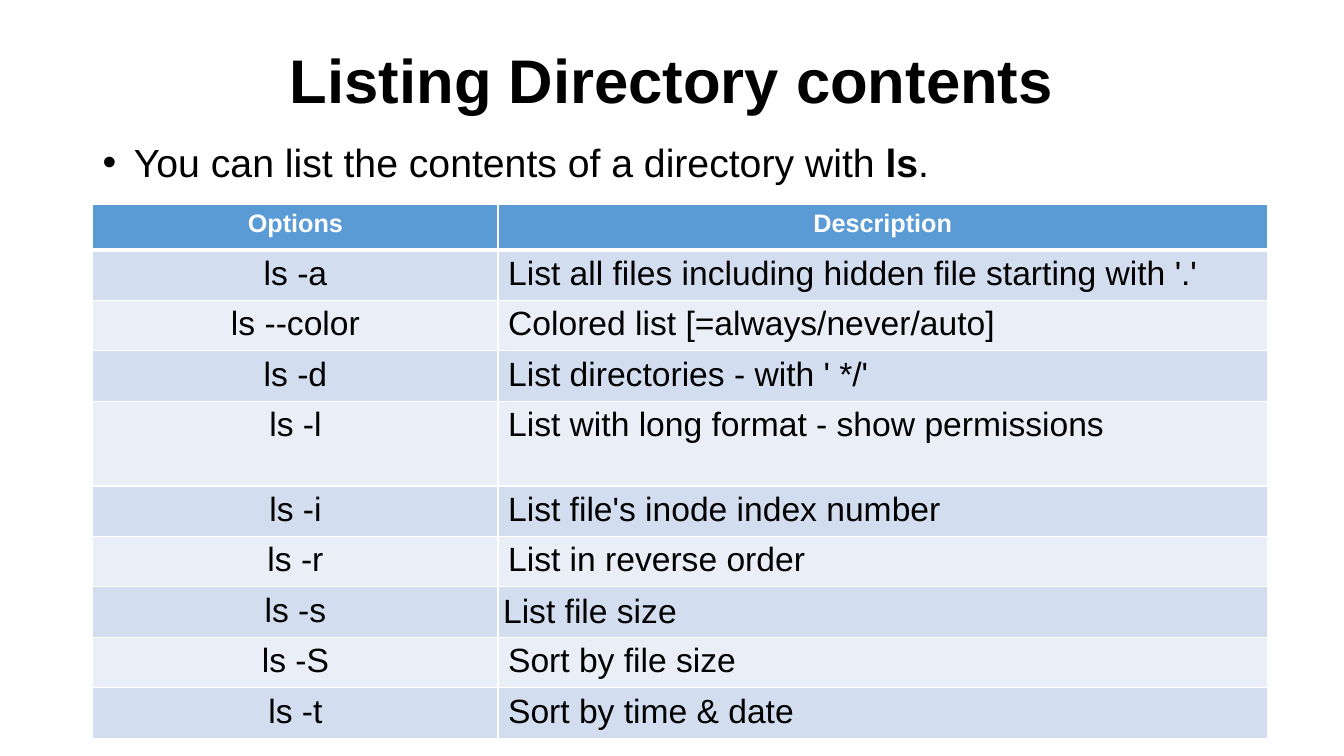
from typing import NamedTuple

from lxml import etree
from pptx import Presentation
from pptx import util as u
from pptx.dml.color import RGBColor
from pptx.enum import text
from pptx.oxml.ns import qn

WIDTH, HEIGHT = 13.33, 7.5
LEFT, CONTENT_WIDTH = 0.92, 11.65
OPTION_WIDTH = 4.02
FONT = "Arial"
BLACK, WHITE = "000000", "FFFFFF"
HEADER_FILL, BANDS = "5B9BD5", ("D2DEEF", "EAEFF7")
CENTER, LEFT_ALIGN = text.PP_ALIGN.CENTER, text.PP_ALIGN.LEFT


class Option(NamedTuple):
    command: str
    description: str
    height: float = 0.48
    tight: bool = False  # narrow margins around the description


OPTIONS = [
    Option("ls -a", "List all files including hidden file starting with '.'"),
    Option("ls --color", "Colored list [=always/never/auto]"),
    Option("ls -d", "List directories - with ' */'", height=0.5),
    Option("ls -l", "List with long format - show permissions", height=0.84),
    Option("ls -i", "List file's inode index number"),
    Option("ls -r", "List in reverse order"),
    Option("ls -s", "List file size", tight=True),
    Option("ls -S", "Sort by file size"),
    Option("ls -t", "Sort by time & date"),
]
HEADER = Option("Options", "Description", height=0.45)


def color(value: str) -> RGBColor:
    return RGBColor.from_string(value)


def style_run(run, size: float, ink: str = BLACK, bold: bool = False) -> None:
    run.font.name = FONT
    run.font.size = u.Pt(size)
    run.font.bold = bold
    run.font.color.rgb = color(ink)


def add_text_box(slide, left: float, top: float, width: float, height: float):
    box = slide.shapes.add_textbox(*map(u.Inches, (left, top, width, height)))
    box.text_frame.word_wrap = True
    return box.text_frame


def add_bullet(paragraph, indent: float) -> None:
    properties = paragraph._p.get_or_add_pPr()
    properties.set("marL", str(u.Inches(indent)))
    properties.set("indent", str(-u.Inches(indent)))
    etree.SubElement(properties, qn("a:buFont"), typeface=FONT)
    etree.SubElement(properties, qn("a:buChar"), char="•")


def set_borders(cell, bottom: float) -> None:
    properties = cell._tc.get_or_add_tcPr()
    sides = {"a:lnL": 1, "a:lnR": 1, "a:lnT": 1, "a:lnB": bottom}
    for position, (side, points) in enumerate(sides.items()):
        line = etree.Element(qn(side), w=str(u.Pt(points)))
        fill = etree.SubElement(line, qn("a:solidFill"))
        etree.SubElement(fill, qn("a:srgbClr"), val=WHITE)
        properties.insert(position, line)


def fill_cell(cell, words: str, align, fill: str, header: bool) -> None:
    cell.fill.solid()
    cell.fill.fore_color.rgb = color(fill)
    set_borders(cell, bottom=3 if header else 1)
    paragraph = cell.text_frame.paragraphs[0]
    paragraph.text = words
    paragraph.alignment = align
    style_run(paragraph.runs[0], 18 if header else 24,
              WHITE if header else BLACK, bold=header)


def add_option_table(slide, top: float) -> None:
    rows = [HEADER, *OPTIONS]
    total = sum(row.height for row in rows)
    table = slide.shapes.add_table(
        len(rows), 2, u.Inches(LEFT), u.Inches(top),
        u.Inches(CONTENT_WIDTH), u.Inches(total)).table
    for column, width in zip(table.columns, (OPTION_WIDTH, CONTENT_WIDTH - OPTION_WIDTH)):
        column.width = u.Inches(width)

    for index, row in enumerate(rows):
        header = index == 0
        fill = HEADER_FILL if header else BANDS[(index - 1) % 2]
        table.rows[index].height = u.Inches(row.height)
        command, description = table.cell(index, 0), table.cell(index, 1)
        fill_cell(command, row.command, CENTER, fill, header)
        fill_cell(description, row.description,
                  CENTER if header else LEFT_ALIGN, fill, header)
        if row.tight:
            description.margin_left = description.margin_right = u.Inches(0.05)
            description.vertical_anchor = text.MSO_ANCHOR.MIDDLE


presentation = Presentation()
presentation.slide_width, presentation.slide_height = u.Inches(WIDTH), u.Inches(HEIGHT)
slide = presentation.slides.add_slide(presentation.slide_layouts[6])

# Title
title = add_text_box(slide, LEFT, 0.1, WIDTH - 2 * LEFT, 1.45)
title.vertical_anchor = text.MSO_ANCHOR.MIDDLE
heading = title.paragraphs[0]
heading.text = "Listing Directory contents"
heading.alignment = CENTER
heading.line_spacing = 0.9
style_run(heading.runs[0], 44, bold=True)

# Table of options
add_option_table(slide, top=2.03)

# Introductory bullet
intro = add_text_box(slide, LEFT, 1.32, CONTENT_WIDTH, 0.88).paragraphs[0]
add_bullet(intro, indent=0.31)
for words, bold in (("You can list the contents of a directory with ", False),
                    ("ls", True), (".", False)):
    run = intro.add_run()
    run.text = words
    style_run(run, 28, bold=bold)

presentation.save("out.pptx")
